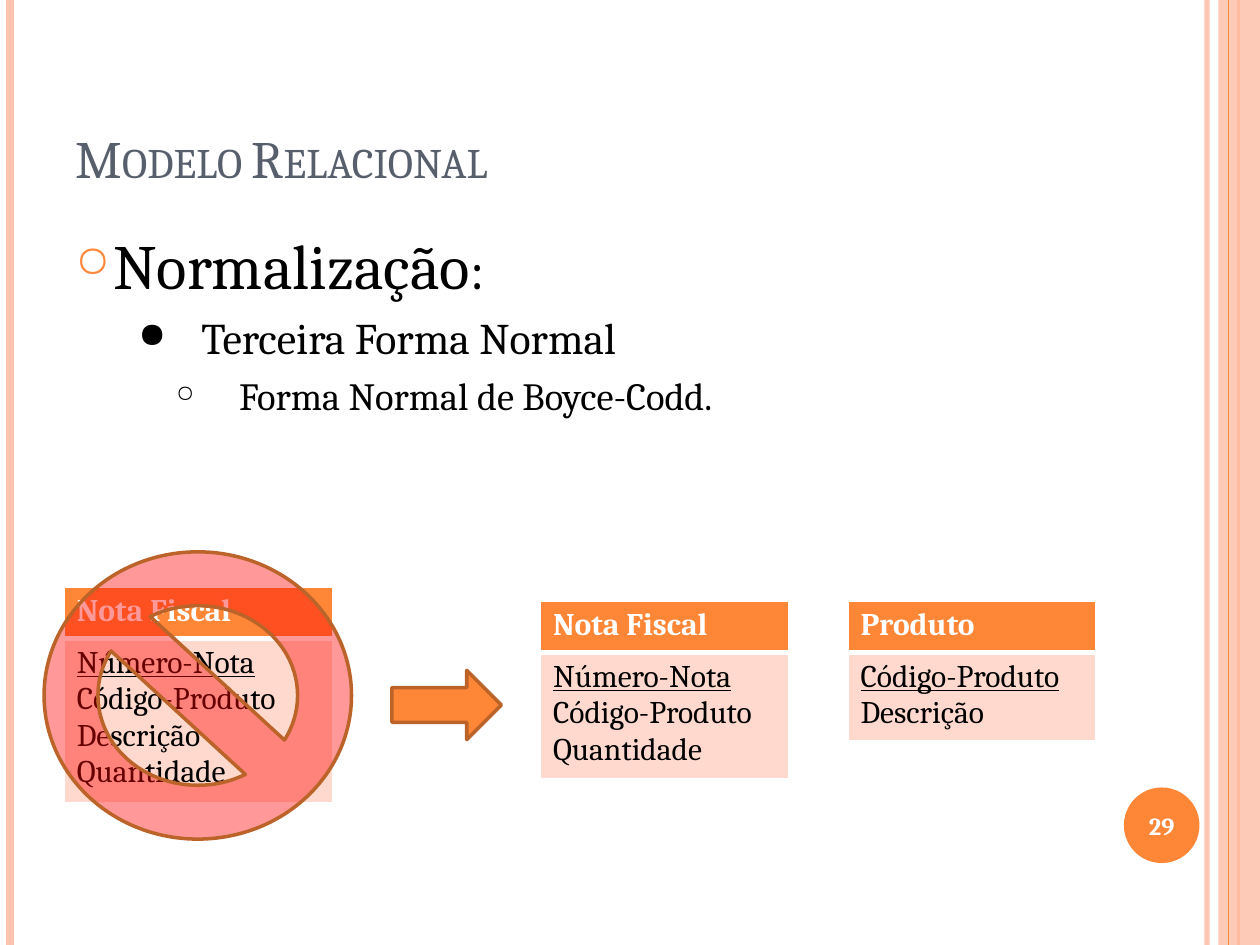
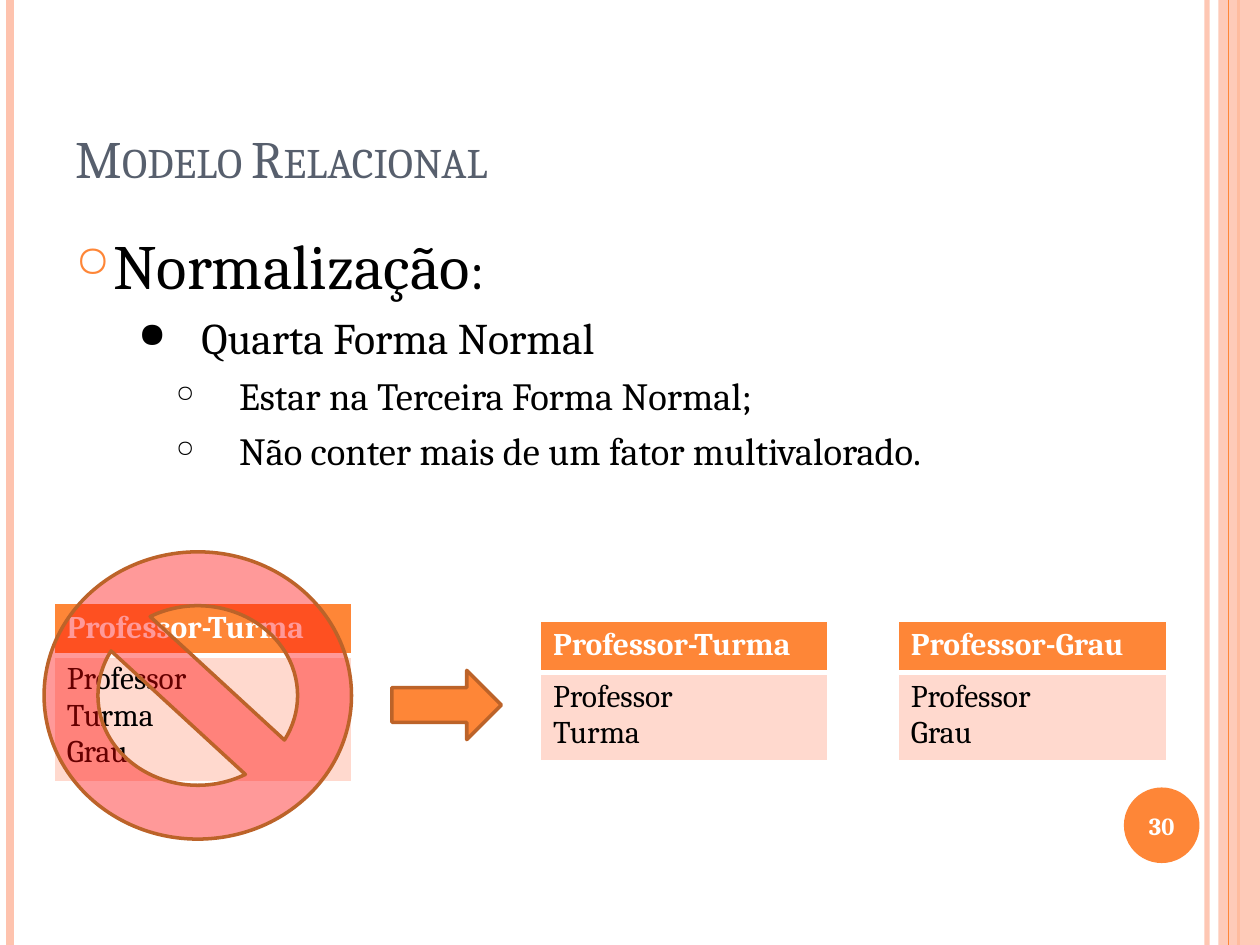
from dataclasses import dataclass

from lxml import etree
from pptx import Presentation
from pptx.dml.color import RGBColor
from pptx.enum.shapes import MSO_CONNECTOR, MSO_SHAPE
from pptx.enum.text import MSO_ANCHOR, MSO_AUTO_SIZE, PP_ALIGN
from pptx.oxml.ns import qn
from pptx.util import Inches, Pt

STRAIGHT = MSO_CONNECTOR.STRAIGHT
RECTANGLE, OVAL = MSO_SHAPE.RECTANGLE, MSO_SHAPE.OVAL
PROHIBITED, RIGHT_ARROW = MSO_SHAPE.NO_SYMBOL, MSO_SHAPE.RIGHT_ARROW
LEFT, CENTER = PP_ALIGN.LEFT, PP_ALIGN.CENTER
TOP, MIDDLE, BOTTOM = MSO_ANCHOR.TOP, MSO_ANCHOR.MIDDLE, MSO_ANCHOR.BOTTOM
NO_AUTOFIT = MSO_AUTO_SIZE.NONE
TITLE_ONLY = 5
SLIDE_WIDTH, SLIDE_HEIGHT = 10, 7.5
HEADER_HEIGHT, LINE_HEIGHT, CELL_PADDING = 0.41, 0.29, 0.1


@dataclass(frozen=True)
class Theme:
    font: str = "Cambria"
    orange: str = "FE8637"
    dark_orange: str = "BC6329"
    peach: str = "FEC3AE"
    pale_peach: str = "FFD9CE"
    red: str = "FF0000"
    slate: str = "575F6D"
    black: str = "000000"
    white: str = "FFFFFF"
    title_size: int = 30
    topic_size: int = 36
    colon_size: int = 31
    form_size: int = 25
    rule_size: int = 22
    table_size: int = 18
    number_size: int = 14


THEME = Theme()


@dataclass(frozen=True)
class Bullet:
    char: str
    percent: int
    color: str
    left: float
    hanging: float
    before: int


TOPIC_BULLET = Bullet("○", 70, THEME.orange, 0.3, 0.3, 6)
FORM_BULLET = Bullet("●", 80, THEME.black, 1, 0.5, 5)
RULE_BULLET = Bullet("○", 60, THEME.black, 1.3, 0.5, 5)


def write(paragraph, text, *, size, color=THEME.black, bold=False,
          underline=False, small_caps=False, align=LEFT):
    paragraph.alignment = align
    run = paragraph.add_run()
    run.text = text
    run.font.name = THEME.font
    run.font.size = Pt(size)
    run.font.bold = bold
    run.font.underline = underline
    run.font.color.rgb = RGBColor.from_string(color)
    if small_caps:
        run.font._element.set("cap", "small")


def next_paragraph(frame):
    first = frame.paragraphs[0]
    return first if not first.runs else frame.add_paragraph()


def set_alpha(shape, percent):
    color = next(shape._element.spPr.iter(qn("a:srgbClr")))
    etree.SubElement(color, qn("a:alpha")).set("val", str(percent * 1000))


def set_bullet(paragraph, bullet):
    paragraph.space_before = Pt(bullet.before)
    properties = paragraph._p.get_or_add_pPr()
    properties.set("marL", str(Inches(bullet.left)))
    properties.set("indent", str(-Inches(bullet.hanging)))
    color = etree.SubElement(properties, qn("a:buClr"))
    etree.SubElement(color, qn("a:srgbClr")).set("val", bullet.color)
    etree.SubElement(properties, qn("a:buSzPct")).set("val", str(bullet.percent * 1000))
    etree.SubElement(properties, qn("a:buChar")).set("char", bullet.char)


def set_borders(cell, top, bottom):
    properties = cell._tc.get_or_add_tcPr()
    for side, width in (("L", 1), ("R", 1), ("T", top), ("B", bottom)):
        border = etree.SubElement(properties, qn(f"a:ln{side}"), w=str(Pt(width)))
        fill = etree.SubElement(border, qn("a:solidFill"))
        etree.SubElement(fill, qn("a:srgbClr")).set("val", THEME.white)


class Deck:
    def __init__(self, theme):
        self.theme = theme
        self.presentation = Presentation()
        self.presentation.slide_width = Inches(SLIDE_WIDTH)
        self.presentation.slide_height = Inches(SLIDE_HEIGHT)
        self.slide = None

    def start_slide(self, title, number):
        layout = self.presentation.slide_layouts[TITLE_ONLY]
        self.slide = self.presentation.slides.add_slide(layout)
        self.frame()
        self.title(title)
        self.page_number(number)

    def vertical_line(self, x, color, width, alpha=100):
        line = self.slide.shapes.add_connector(
            STRAIGHT, Inches(x), 0, Inches(x), Inches(SLIDE_HEIGHT))
        line.line.color.rgb = RGBColor.from_string(color)
        line.line.width = Pt(width)
        if alpha < 100:
            set_alpha(line, alpha)
        etree.SubElement(line._element.spPr, qn("a:effectLst"))

    def shape(self, preset, box, fill, alpha=100, outline=None):
        shape = self.slide.shapes.add_shape(preset, *map(Inches, box))
        shape.shadow.inherit = False
        shape.fill.solid()
        shape.fill.fore_color.rgb = RGBColor.from_string(fill)
        if alpha < 100:
            set_alpha(shape, alpha)
        if outline:
            shape.line.color.rgb = RGBColor.from_string(outline)
            shape.line.width = Pt(2)
        else:
            shape.line.fill.background()
        return shape

    def frame(self):
        self.vertical_line(9.58, self.theme.peach, 3, alpha=93)
        self.vertical_line(0.08, self.theme.peach, 4.5)
        self.vertical_line(9.83, self.theme.orange, 1.5)
        self.shape(RECTANGLE, (9.67, 0, 0.33, SLIDE_HEIGHT), self.theme.peach, alpha=87)
        self.vertical_line(9.75, self.theme.orange, 0.75)

    def title(self, text):
        title = self.slide.shapes.title
        title.left, title.top, title.width, title.height = map(
            Inches, (0.5, 0.3, 8.17, 1.25))
        title.text_frame.vertical_anchor = BOTTOM
        title.text_frame.auto_size = NO_AUTOFIT
        write(title.text_frame.paragraphs[0], text, size=self.theme.title_size,
              color=self.theme.slate, small_caps=True)

    def page_number(self, number):
        badge = self.shape(OVAL, (8.92, 6.25, 0.6, 0.6), self.theme.orange)
        frame = badge.text_frame
        frame.margin_left = frame.margin_right = 0
        frame.margin_top = frame.margin_bottom = 0
        frame.word_wrap = False
        frame.vertical_anchor = MIDDLE
        write(frame.paragraphs[0], str(number), size=self.theme.number_size,
              color=self.theme.white, bold=True, align=CENTER)

    def outline(self, topic, form, rules):
        frame = self.slide.shapes.add_textbox(
            *map(Inches, (0.5, 1.75, 8.17, 4.76))).text_frame
        frame.word_wrap = True
        frame.vertical_anchor = TOP
        heading = next_paragraph(frame)
        set_bullet(heading, TOPIC_BULLET)
        write(heading, topic, size=self.theme.topic_size)
        write(heading, ":", size=self.theme.colon_size)
        items = [(form, 1, FORM_BULLET, self.theme.form_size)]
        items += [(rule, 2, RULE_BULLET, self.theme.rule_size) for rule in rules]
        for text, level, bullet, size in items:
            paragraph = next_paragraph(frame)
            paragraph.level = level
            set_bullet(paragraph, bullet)
            write(paragraph, text, size=size)

    def entity(self, name, fields, left, top, width, key=None):
        fields_height = CELL_PADDING + LINE_HEIGHT * len(fields)
        table = self.slide.shapes.add_table(
            2, 1, Inches(left), Inches(top), Inches(width),
            Inches(HEADER_HEIGHT + fields_height)).table
        table.rows[0].height = Inches(HEADER_HEIGHT)
        table.rows[1].height = Inches(fields_height)
        header, body = table.cell(0, 0), table.cell(1, 0)
        set_borders(header, top=1, bottom=3)
        set_borders(body, top=3, bottom=1)
        for cell, fill in ((header, self.theme.orange), (body, self.theme.pale_peach)):
            cell.fill.solid()
            cell.fill.fore_color.rgb = RGBColor.from_string(fill)
        write(header.text_frame.paragraphs[0], name, size=self.theme.table_size,
              color=self.theme.white, bold=True)
        for field in fields:
            write(next_paragraph(body.text_frame), field,
                  size=self.theme.table_size, underline=field == key)

    def decomposition(self, rejected, *results):
        self.entity(**rejected)
        self.shape(PROHIBITED, (0.35, 4.38, 2.44, 2.28), self.theme.red,
                   alpha=40, outline=self.theme.dark_orange)
        self.shape(RIGHT_ARROW, (3.11, 5.32, 0.87, 0.55), self.theme.orange,
                   outline=self.theme.dark_orange)
        for result in results:
            self.entity(**result)


def main():
    deck = Deck(THEME)

    deck.start_slide("Modelo Relacional", 29)
    deck.outline("Normalização", "Terceira Forma Normal",
                 ["Forma Normal de Boyce-Codd."])
    deck.decomposition(
        dict(name="Nota Fiscal", key="Número-Nota", left=0.51, top=4.66, width=2.13,
             fields=["Número-Nota", "Código-Produto", "Descrição", "Quantidade"]),
        dict(name="Nota Fiscal", key="Número-Nota", left=4.29, top=4.77, width=1.97,
             fields=["Número-Nota", "Código-Produto", "Quantidade"]),
        dict(name="Produto", key="Código-Produto", left=6.73, top=4.77, width=1.97,
             fields=["Código-Produto", "Descrição"]))

    deck.start_slide("Modelo Relacional", 30)
    deck.outline("Normalização", "Quarta Forma Normal",
                 ["Estar na Terceira Forma Normal;",
                  "Não conter mais de um fator multivalorado."])
    deck.decomposition(
        dict(name="Professor-Turma", left=0.43, top=4.79, width=2.36,
             fields=["Professor", "Turma", "Grau"]),
        dict(name="Professor-Turma", left=4.29, top=4.93, width=2.28,
             fields=["Professor", "Turma"]),
        dict(name="Professor-Grau", left=7.13, top=4.93, width=2.13,
             fields=["Professor", "Grau"]))

    deck.presentation.save("out.pptx")


if __name__ == "__main__":
    main()
